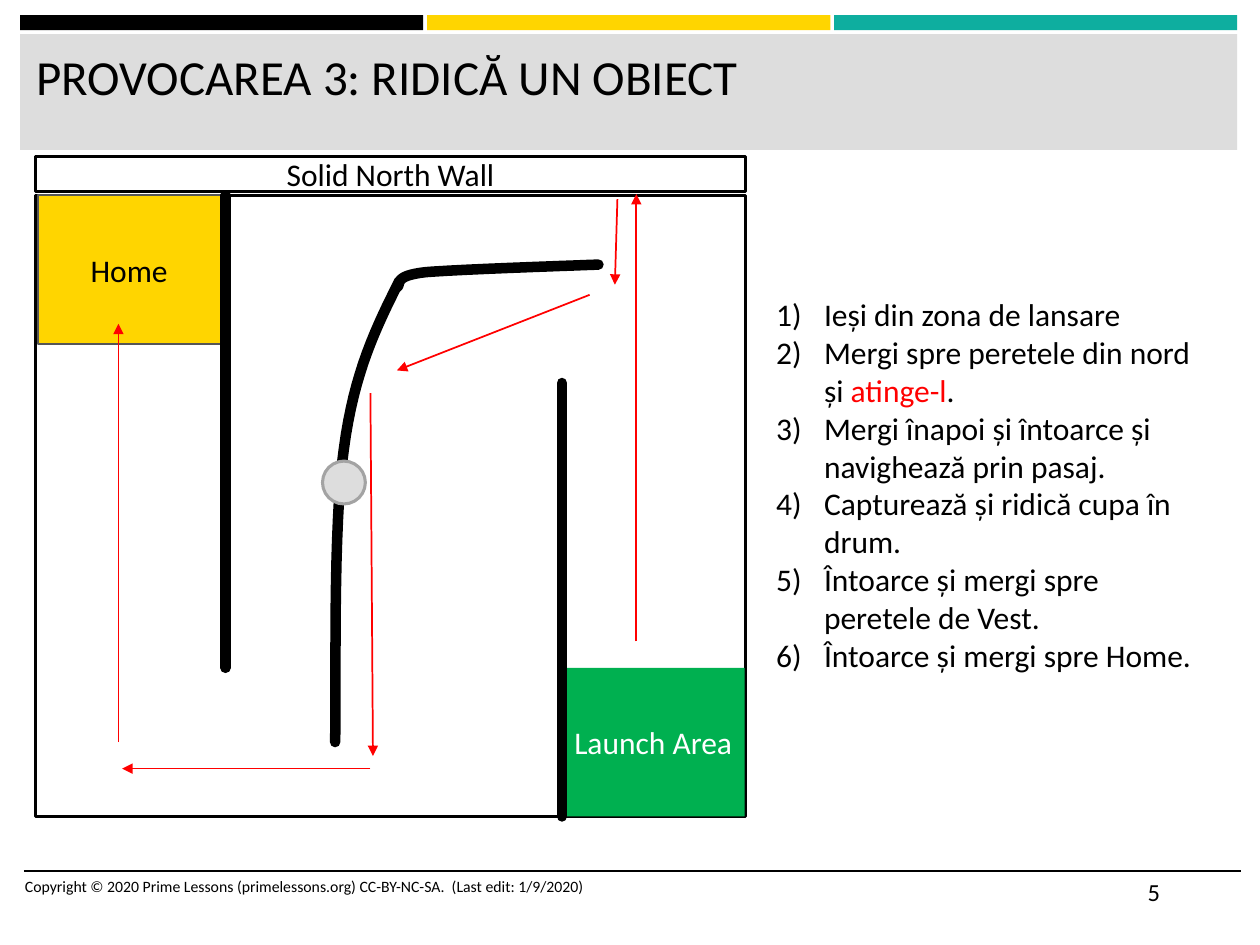
"""Build the slide for challenge 3: a field map with a route and numbered steps."""
from dataclasses import dataclass

from lxml import etree
from pptx import Presentation
from pptx.dml.color import RGBColor
from pptx.enum.shapes import MSO_CONNECTOR, MSO_SHAPE
from pptx.enum.text import MSO_ANCHOR, PP_ALIGN
from pptx.oxml.ns import qn
from pptx.util import Inches, Pt

RECTANGLE, OVAL = MSO_SHAPE.RECTANGLE, MSO_SHAPE.OVAL
STRAIGHT = MSO_CONNECTOR.STRAIGHT
TOP, MIDDLE = MSO_ANCHOR.TOP, MSO_ANCHOR.MIDDLE
LEFT, CENTER = PP_ALIGN.LEFT, PP_ALIGN.CENTER
FONT = "Calibri"
BLACK, WHITE, RED, GRAY, YELLOW = "000000", "FFFFFF", "FF0000", "DDDDDD", "FFD500"
CURVE_STEPS = 16
Point = tuple[float, float]


@dataclass
class Area:
    left: float
    top: float
    width: float
    height: float
    fill: str
    outline: str = ""
    weight: float = 1.75
    label: str = ""
    label_color: str = BLACK
    preset: int = RECTANGLE


@dataclass
class Stroke:
    start: Point
    end: Point
    color: str = RED
    weight: float = 1
    arrow: bool = True


BANDS = [
    Area(0.16 + 3.23 * index, 0.12, 3.2, 0.12, fill)
    for index, fill in enumerate((BLACK, YELLOW, "0EAE9F"))
] + [Area(0.16, 0.27, 9.66, 0.92, GRAY)]
FIELD = [
    Area(0.28, 1.55, 5.64, 4.93, WHITE, BLACK),
    Area(0.28, 1.24, 5.64, 0.28, WHITE, BLACK, label="Solid North Wall"),
    Area(4.46, 5.3, 1.45, 1.18, "00B050", label="Launch Area", label_color=WHITE),
    Area(0.3, 1.55, 1.45, 1.18, YELLOW, "565656", 1, "Home"),
]
CUP = Area(2.56, 3.66, 0.34, 0.34, GRAY, "A3A3A3", preset=OVAL)
FOOTER_RULE = Stroke((0.19, 6.91), (9.85, 6.91), BLACK, arrow=False)
WALLS = [
    Stroke((1.79, 5.3), (1.79, 1.55), BLACK, 6, False),
    Stroke((4.46, 6.48), (4.46, 3.04), BLACK, 6, False),
]
ROUTE = [
    Stroke((5.05, 5.09), (5.05, 1.54)),
    Stroke((4.9, 1.58), (4.88, 2.26)),
    Stroke((4.68, 2.34), (3.15, 2.94)),
    Stroke((2.94, 3.12), (2.96, 6)),
    Stroke((2.94, 6.1), (0.97, 6.1)),
    Stroke((0.94, 5.89), (0.94, 2.57)),
]
CURVED_WALLS = [
    [(3.17, 2.23), (2.99, 2.59), (2.81, 2.95), (2.73, 3.56),
     (2.64, 4.17), (2.67, 5.48), (2.66, 5.89)],
    [(4.75, 2.1), (4.2, 2.12), (3.64, 2.14), (3.38, 2.16),
     (3.11, 2.19), (3.19, 2.26), (3.15, 2.28)],
]
STEPS = [
    [("Ieși din zona de lansare", BLACK)],
    [("Mergi spre peretele din nord și ", BLACK), ("atinge-l", RED), (".", BLACK)],
    [("Mergi înapoi și întoarce și navighează prin pasaj.", BLACK)],
    [("Capturează și ridică cupa în drum.", BLACK)],
    [("Întoarce și mergi spre peretele de Vest.", BLACK)],
    [("Întoarce și mergi spre Home.", BLACK)],
]


def rgb(color: str) -> RGBColor:
    return RGBColor.from_string(color)


def place(box, left: float, top: float, width: float, height: float) -> None:
    box.left, box.top = Inches(left), Inches(top)
    box.width, box.height = Inches(width), Inches(height)


def write(box, text: str, size: float, color: str = BLACK, align=LEFT, anchor=TOP) -> None:
    frame = box.text_frame
    frame.word_wrap = True
    frame.vertical_anchor = anchor
    para = frame.paragraphs[0]
    para.text = text
    para.alignment = align
    para.font.name, para.font.size = FONT, Pt(size)
    para.font.color.rgb = rgb(color)


def draw_area(page, area: Area) -> None:
    box = page.shapes.add_shape(area.preset, 0, 0, 0, 0)
    place(box, area.left, area.top, area.width, area.height)
    box.shadow.inherit = False
    box.fill.solid()
    box.fill.fore_color.rgb = rgb(area.fill)
    if area.outline:
        box.line.color.rgb = rgb(area.outline)
        box.line.width = Pt(area.weight)
    else:
        box.line.fill.background()
    if area.label:
        frame = box.text_frame
        frame.margin_left = frame.margin_right = frame.margin_top = frame.margin_bottom = 0
        write(box, area.label, 18, area.label_color, CENTER, MIDDLE)


def style_line(shape, color: str, weight: float):
    shape.line.color.rgb = rgb(color)
    shape.line.width = Pt(weight)
    line = shape.element.spPr.find(qn("a:ln"))
    if weight > 2:
        line.set("cap", "rnd")
    return line


def draw_stroke(page, stroke: Stroke) -> None:
    ends = [Inches(value) for value in (*stroke.start, *stroke.end)]
    connector = page.shapes.add_connector(STRAIGHT, *ends)
    line = style_line(connector, stroke.color, stroke.weight)
    if stroke.arrow:
        etree.SubElement(line, qn("a:tailEnd"), type="triangle")
    etree.SubElement(connector.element.spPr, qn("a:effectLst"))


def bezier(controls: list[Point], time: float) -> Point:
    rest = 1 - time
    weights = (rest**3, 3 * rest**2 * time, 3 * rest * time**2, time**3)
    x, y = (sum(w * c for w, c in zip(weights, axis)) for axis in zip(*controls))
    return Inches(x), Inches(y)


def draw_curve(page, controls: list[Point]) -> None:
    points = [
        bezier(controls[first:first + 4], step / CURVE_STEPS)
        for first in range(0, len(controls) - 1, 3)
        for step in range(1, CURVE_STEPS + 1)
    ]
    builder = page.shapes.build_freeform(*bezier(controls[:4], 0))
    builder.add_line_segments(points, close=False)
    curve = builder.convert_to_shape()
    curve.shadow.inherit = False
    curve.fill.background()
    style_line(curve, BLACK, 6)


def write_steps(body) -> None:
    place(body, 6.06, 1.53, 3.64, 4.63)
    frame = body.text_frame
    frame.word_wrap = True
    frame.vertical_anchor = MIDDLE
    for index, step in enumerate(STEPS):
        para = frame.add_paragraph() if index else frame.paragraphs[0]
        para.space_before = Pt(0)
        properties = para._p.get_or_add_pPr()
        properties.set("marL", str(Inches(0.38)))
        properties.set("indent", str(Inches(-0.38)))
        etree.SubElement(properties, qn("a:buFont"), typeface="+mj-lt")
        etree.SubElement(properties, qn("a:buAutoNum"), type="arabicParenR")
        para.font.name, para.font.size = FONT, Pt(18)
        for text, color in step:
            span = para.add_run()
            span.text = text
            span.font.color.rgb = rgb(color)


def add_text(page, text: str, size: float, *bounds: float) -> None:
    box = page.shapes.add_textbox(*map(Inches, bounds))
    write(box, text, size)


def main() -> None:
    deck = Presentation()
    deck.slide_width, deck.slide_height = Inches(10), Inches(7.5)
    page = deck.slides.add_slide(deck.slide_layouts[1])
    for band in BANDS:
        draw_area(page, band)
    title = page.shapes.title
    place(title, 0.19, 0.32, 9.57, 0.82)
    write(title, "PROVOCAREA 3: RIDICĂ UN OBIECT", 28)
    title.element.getparent().append(title.element)
    write_steps(page.placeholders[1])
    draw_stroke(page, FOOTER_RULE)
    add_text(page, "Copyright © 2020 Prime Lessons (primelessons.org) CC-BY-NC-SA.  (Last edit: 1/9/2020)",
             9, 0.1, 6.91, 5.33, 0.4)
    add_text(page, "5", 14, 9.01, 6.91, 0.84, 0.4)
    for area in FIELD:
        draw_area(page, area)
    for stroke in WALLS + ROUTE:
        draw_stroke(page, stroke)
    for controls in CURVED_WALLS:
        draw_curve(page, controls)
    draw_area(page, CUP)
    deck.save("out.pptx")


if __name__ == "__main__":
    main()
